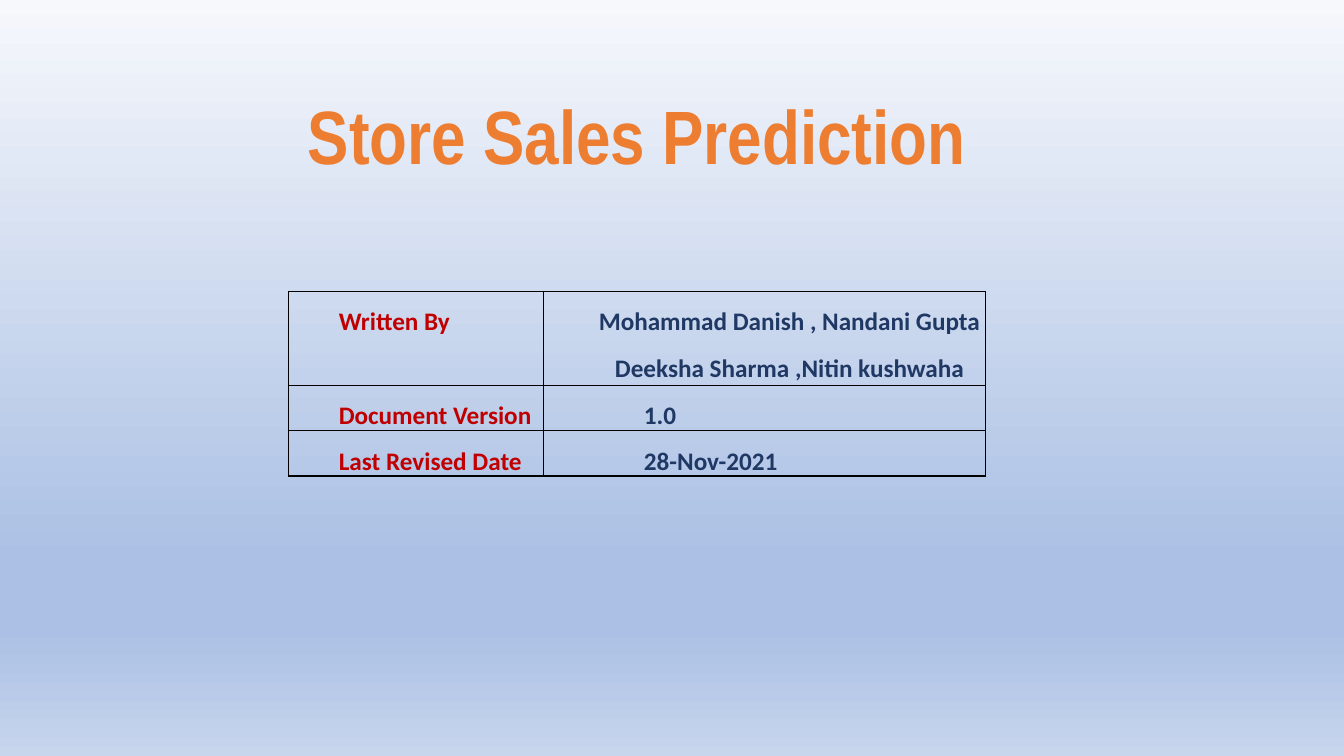
from lxml.etree import SubElement
from pptx import Presentation
from pptx.dml.color import RGBColor
from pptx.enum.text import MSO_ANCHOR, PP_ALIGN
from pptx.oxml.ns import qn
from pptx.util import Pt

ORANGE = RGBColor(0xED, 0x7D, 0x31)
RED = RGBColor(0xC0, 0x00, 0x00)
NAVY = RGBColor(0x20, 0x38, 0x64)
BLACK = RGBColor(0x00, 0x00, 0x00)
PALE = RGBColor(0xF6, 0xF8, 0xFC)
BLUE = RGBColor(0xAB, 0xC0, 0xE4)
LIGHT_BLUE = RGBColor(0xC7, 0xD5, 0xED)


class SlideBuilder:
    """Holds the fonts and the current slide and adds its elements."""

    title_font = "Arial Narrow"
    body_font = "Calibri"

    def __init__(self, slide):
        self.slide = slide

    def background(self, stops):
        fill = self.slide.background.fill
        fill.gradient()
        fill.gradient_angle = 270
        stop_list = self.slide.background._cSld.find(".//" + qn("a:gsLst"))
        for stop in list(stop_list):
            stop_list.remove(stop)
        for percent, color in stops:
            stop = SubElement(stop_list, qn("a:gs"), pos=str(percent * 1000))
            SubElement(stop, qn("a:srgbClr"), val=str(color))

    def format(self, p, font, size, color, align, spacing):
        p.alignment = align
        p.line_spacing = spacing
        for r in p.runs:
            r.font.name = font
            r.font.size = Pt(size)
            r.font.bold = True
            r.font.color.rgb = color

    def title(self, text, left, top, width, height):
        sp = self.slide.shapes.add_textbox(Pt(left), Pt(top), Pt(width), Pt(height))
        tf = sp.text_frame
        tf.word_wrap = True
        tf.vertical_anchor = MSO_ANCHOR.BOTTOM
        tf.text = text
        self.format(tf.paragraphs[0], self.title_font, 54, ORANGE, PP_ALIGN.CENTER, 0.9)

    def cell(self, cell, text, color, align, indent):
        cell.margin_left = cell.margin_right = cell.margin_top = cell.margin_bottom = 0
        tf = cell.text_frame
        tf.text = text
        for p in tf.paragraphs:
            self.format(p, self.body_font, 18, color, align, 1.5)
            p.space_before = Pt(0.1)
            p._p.get_or_add_pPr().set("marL", str(Pt(indent)))
        tc_pr = cell._tc.get_or_add_tcPr()
        for side in ("lnL", "lnR", "lnT", "lnB"):
            line = SubElement(tc_pr, qn("a:" + side), w=str(Pt(1)))
            fill = SubElement(line, qn("a:solidFill"))
            SubElement(fill, qn("a:srgbClr"), val=str(BLACK))
        cell.fill.background()

    def table(self, rows, left, top, widths, heights):
        frame = self.slide.shapes.add_table(
            len(rows), len(widths), Pt(left), Pt(top), Pt(sum(widths)), Pt(sum(heights)))
        table = frame.table
        table.first_row = table.horz_banding = False
        for column, width in zip(table.columns, widths):
            column.width = Pt(width)
        for row, height, (label, value, align, indent) in zip(table.rows, heights, rows):
            row.height = Pt(height)
            self.cell(row.cells[0], label, RED, PP_ALIGN.JUSTIFY, 36)
            self.cell(row.cells[1], value, NAVY, align, indent)


def main():
    prs = Presentation()
    prs.slide_width, prs.slide_height = Pt(960), Pt(540)
    s = SlideBuilder(prs.slides.add_slide(prs.slide_layouts[6]))
    s.background([(0, PALE), (74, BLUE), (83, BLUE), (100, LIGHT_BLUE)])
    s.title("Store Sales Prediction", 95, 62.6, 720, 69.8)
    authors = "Mohammad Danish , Nandani Gupta\nDeeksha Sharma ,Nitin kushwaha"
    s.table([
        ("Written By", authors, PP_ALIGN.CENTER, 36),
        ("Document Version", "1.0", PP_ALIGN.JUSTIFY, 72),
        ("Last Revised Date", "28-Nov-2021", PP_ALIGN.JUSTIFY, 72),
    ], 206, 208.2, [182, 316], [67, 32, 32])
    prs.save("out.pptx")


if __name__ == "__main__":
    main()
